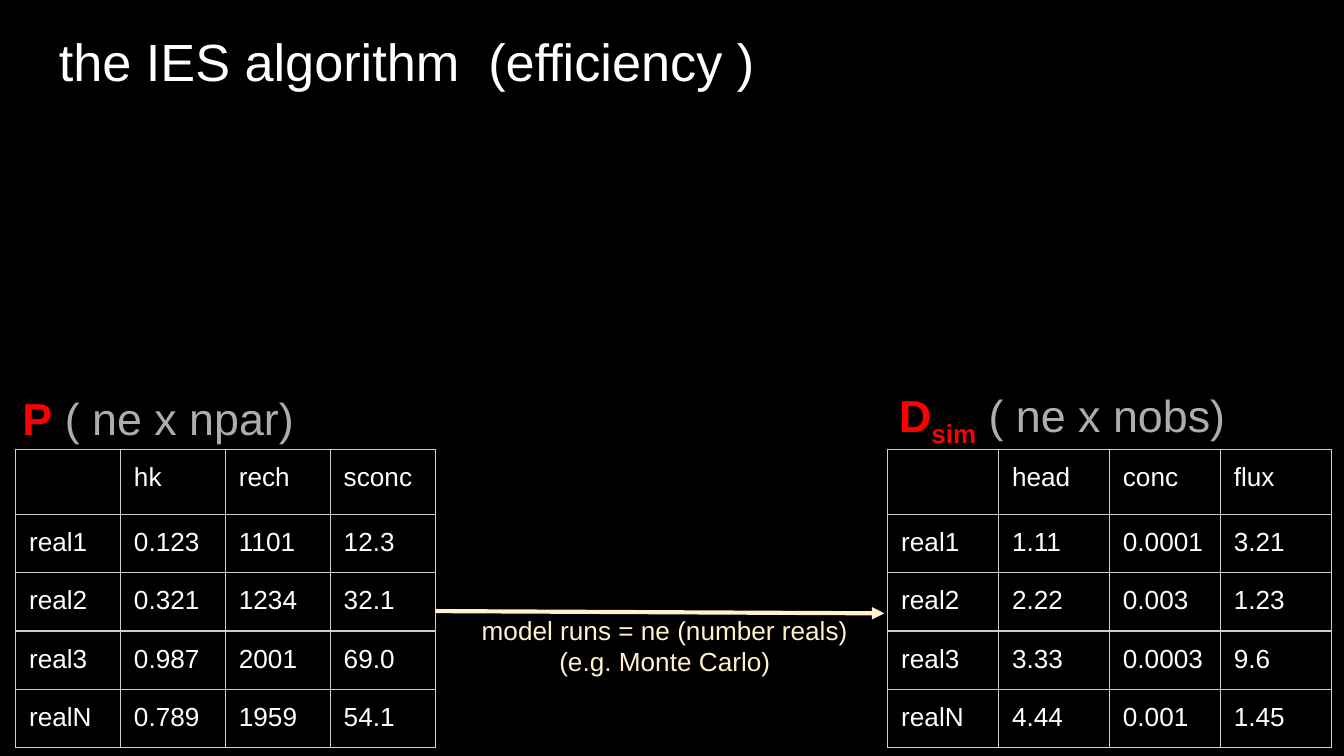
from lxml.etree import SubElement
from pptx import Presentation
from pptx.dml.color import RGBColor
from pptx.enum.shapes import MSO_CONNECTOR
from pptx.enum.text import MSO_ANCHOR, PP_ALIGN
from pptx.oxml.ns import qn
from pptx.util import Pt

WHITE, RED, GRAY, CREAM, RULE = "FFFFFF", "FF0000", "ADADAD", "FFF2CC", "CCCCCC"
PAD = 7.2
HEAD_ROW, ROW = 34.8, 30

PARS = [
    ["", "hk", "rech", "sconc"],
    ["real1", "0.123", "1101", "12.3"],
    ["real2", "0.321", "1234", "32.1"],
    ["real3", "0.987", "2001", "69.0"],
    ["realN", "0.789", "1959", "54.1"],
]
OBS = [
    ["", "head", "conc", "flux"],
    ["real1", "1.11", "0.0001", "3.21"],
    ["real2", "2.22", "0.003", "1.23"],
    ["real3", "3.33", "0.0003", "9.6"],
    ["realN", "4.44", "0.001", "1.45"],
]


def color(code):
    return RGBColor.from_string(code)


def style(font, size, code):
    font.name = "Arial"
    font.size = Pt(size)
    font.color.rgb = color(code)


def pad(item):
    item.margin_left = item.margin_right = Pt(PAD)
    item.margin_top = item.margin_bottom = Pt(PAD)


def add_frame(slide, box, anchor=MSO_ANCHOR.TOP):
    frame = slide.shapes.add_textbox(*map(Pt, box)).text_frame
    frame.word_wrap = True
    frame.vertical_anchor = anchor
    pad(frame)
    return frame


def add_text(slide, box, lines, size, code, align=PP_ALIGN.LEFT):
    frame = add_frame(slide, box)
    frame.text = "\n".join(lines)
    for para in frame.paragraphs:
        para.alignment = align
        style(para.font, size, code)


def add_label(slide, box, name, sub, dims):
    """Matrix name in bold red, with an optional subscript, then its size in gray."""
    para = add_frame(slide, box, MSO_ANCHOR.MIDDLE).paragraphs[0]
    para.line_spacing = 1.15
    for text, code, base in ((name, RED, 0), (sub, RED, -25000), (dims, GRAY, 0)):
        if not text:
            continue
        run = para.add_run()
        run.text = text
        style(run.font, 24, code)
        run.font.bold = code == RED
        if base:
            run._r.get_or_add_rPr().set("baseline", str(base))


def add_borders(cell):
    props = cell._tc.get_or_add_tcPr()
    for index, side in enumerate(("lnL", "lnR", "lnT", "lnB")):
        line = SubElement(props, qn(f"a:{side}"), w=str(Pt(0.75)))
        fill = SubElement(line, qn("a:solidFill"))
        SubElement(fill, qn("a:srgbClr"), val=RULE)
        props.remove(line)
        props.insert(index, line)


def add_grid(slide, left, top, col, rows):
    count, width = len(rows), len(rows[0])
    high = HEAD_ROW + ROW * (count - 1)
    table = slide.shapes.add_table(
        count, width, Pt(left), Pt(top), Pt(col * width), Pt(high)).table
    table.first_row = table.horz_banding = False
    for column in table.columns:
        column.width = Pt(col)
    for r, values in enumerate(rows):
        table.rows[r].height = Pt(ROW if r else HEAD_ROW)
        for c, value in enumerate(values):
            cell = table.cell(r, c)
            cell.text = value
            pad(cell)
            cell.fill.background()
            add_borders(cell)
            style(cell.text_frame.paragraphs[0].font, 14, WHITE)


def add_arrow(slide, start, end):
    arrow = slide.shapes.add_connector(
        MSO_CONNECTOR.STRAIGHT, *map(Pt, (*start, *end)))
    arrow.line.color.rgb = color(CREAM)
    arrow.line.width = Pt(2.25)
    SubElement(arrow.line._get_or_add_ln(), qn("a:tailEnd"), type="triangle")
    SubElement(arrow._element.spPr, qn("a:effectLst"))


def add_runs(slide, left, top):
    """Model runs: an arrow between the tables with its caption."""
    add_arrow(slide, (left, top), (left + 240.6, top + 1.2))
    add_text(slide, (left + 15, top - 5.4, 216, 55.4),
             ["model runs = ne (number reals)", "(e.g. Monte Carlo)"],
             14, CREAM, PP_ALIGN.CENTER)


def main():
    deck = Presentation()
    deck.slide_width, deck.slide_height = Pt(720), Pt(405)
    slide = deck.slides.add_slide(deck.slide_layouts[6])
    slide.background.fill.solid()
    slide.background.fill.fore_color.rgb = color("000000")

    add_text(slide, (24.5, 8.6, 671, 45.4),
             ["the IES algorithm  (efficiency )"], 28, WHITE)
    add_grid(slide, 8.4, 240.8, 56.2, PARS)
    add_grid(slide, 475.6, 240.8, 59.4, OBS)
    add_runs(slide, 233.2, 327.4)
    add_label(slide, (5, 202.3, 236, 38.2), "P", "", " ( ne x npar)")
    add_label(slide, (474.6, 202.3, 239.8, 38.2), "D", "sim", " ( ne x nobs)")
    deck.save("out.pptx")


if __name__ == "__main__":
    main()
